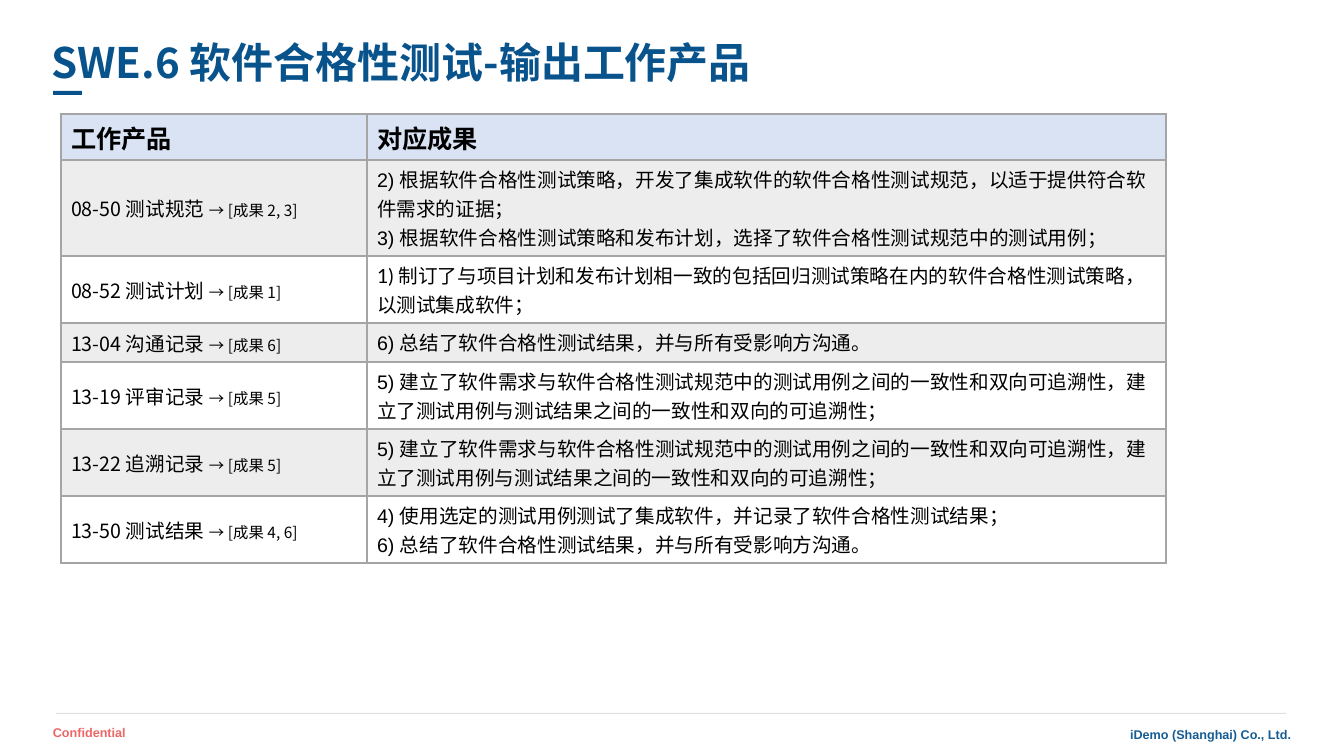
from lxml.etree import SubElement
from pptx import Presentation
from pptx.dml.color import RGBColor
from pptx.enum.shapes import MSO_SHAPE as Shape
from pptx.enum.text import MSO_ANCHOR as Anchor, MSO_AUTO_SIZE as AutoSize, PP_ALIGN as Align
from pptx.oxml.ns import qn
from pptx.util import Emu, Pt

THEME = {
    "cjk": "Noto Sans CJK SC", "latin": "Arial", "number": "Lato", "body": "Calibri",
    "title": "08538C", "company": "175D93", "confidential": "EE6767", "rule": "DDE1E5",
    "text": "000000", "header": "DAE3F3", "grid": "A5A5A5", "band_alpha": 20,
    "title_pt": 30, "header_pt": 18, "cell_pt": 14, "ref_pt": 11, "footer_pt": 9,
}
EMU_PER_PX = 914400 / 100.8


def px(*lengths):
    return [Emu(round(n * EMU_PER_PX)) for n in lengths]


def style(run, font, size, color, bold=False):
    run.font.name, run.font.size, run.font.bold = font, Pt(size), bold
    run.font.color.rgb = RGBColor.from_string(color)
    # East Asian glyphs always use the CJK family
    latin = run.font._element.find(qn("a:latin"))
    east_asian = latin.makeelement(qn("a:ea"), {"typeface": THEME["cjk"]})
    latin.addnext(east_asian)


deck = Presentation()
deck.slide_width, deck.slide_height = px(1344, 756)
slide = deck.slides.add_slide(deck.slide_layouts[5])

# Footer rule and title accent
for box, color in [((56, 713, 1230, 1), THEME["rule"]), ((53, 91, 29, 4), THEME["title"])]:
    bar = slide.shapes.add_shape(Shape.RECTANGLE, *px(*box))
    bar.shadow.inherit = False
    bar.fill.solid()
    bar.fill.fore_color.rgb = RGBColor.from_string(color)
    bar.line.fill.background()

# Footer texts
for box, words, align, color in [
    ((43, 720, 280, 25), "Confidential", Align.LEFT, THEME["confidential"]),
    ((717, 722, 584, 25), "iDemo (Shanghai) Co., Ltd.", Align.RIGHT, THEME["company"]),
]:
    footer = slide.shapes.add_textbox(*px(*box)).text_frame
    footer.word_wrap = True
    footer.auto_size = AutoSize.SHAPE_TO_FIT_TEXT
    footer.text = words
    footer.paragraphs[0].alignment = align
    style(footer.paragraphs[0].runs[0], THEME["latin"], THEME["footer_pt"], color, True)

# Title
title = slide.shapes.title
title.left, title.top, title.width, title.height = px(41, 32, 1159, 65)
heading = title.text_frame
heading.text = "SWE.6 软件合格性测试-输出工作产品"
heading.word_wrap = True
heading.auto_size = AutoSize.NONE
heading.vertical_anchor = Anchor.MIDDLE
heading.paragraphs[0].alignment = Align.LEFT
heading.paragraphs[0].line_spacing = 0.9
style(heading.paragraphs[0].runs[0], THEME["cjk"], THEME["title_pt"], THEME["title"], True)

# Work products: name, outcome numbers, outcomes, row height
traceability = ("5) 建立了软件需求与软件合格性测试规范中的测试用例之间的一致性和双向可追溯性，"
                "建立了测试用例与测试结果之间的一致性和双向的可追溯性；")
communication = "6) 总结了软件合格性测试结果，并与所有受影响方沟通。"
products = [
    ("08-50 测试规范", "2, 3",
     ["2) 根据软件合格性测试策略，开发了集成软件的软件合格性测试规范，以适于提供符合软件需求的证据；",
      "3) 根据软件合格性测试策略和发布计划，选择了软件合格性测试规范中的测试用例；"], 96),
    ("08-52 测试计划", "1",
     ["1) 制订了与项目计划和发布计划相一致的包括回归测试策略在内的软件合格性测试策略，以测试集成软件；"], 67),
    ("13-04 沟通记录", "6", [communication], 39),
    ("13-19 评审记录", "5", [traceability], 67),
    ("13-22 追溯记录", "5", [traceability], 67),
    ("13-50 测试结果", "4, 6",
     ["4) 使用选定的测试用例测试了集成软件，并记录了软件合格性测试结果；", communication], 67),
]
heights = [46] + [product[3] for product in products]
table = slide.shapes.add_table(len(heights), 2, *px(61, 114, 1105, sum(heights))).table
table.horz_banding = False
for column, width in zip(table.columns, px(306, 799)):
    column.width = width
for row, height in zip(table.rows, px(*heights)):
    row.height = height

# Header texts
for cell, words in zip(table.rows[0].cells, ["工作产品", "对应成果"]):
    cell.text_frame.text = words
    style(cell.text_frame.paragraphs[0].runs[0], THEME["cjk"], THEME["header_pt"], THEME["text"], True)

# Body texts
for row_number, (name, numbers, outcomes, _) in enumerate(products, start=1):
    product_cell, outcome_cell = table.rows[row_number].cells
    product_cell.vertical_anchor = Anchor.MIDDLE
    product_line = product_cell.text_frame.paragraphs[0]
    for words, size in [(name + " ", THEME["cell_pt"]), (f"→ [成果 {numbers}]", THEME["ref_pt"])]:
        run = product_line.add_run()
        run.text = words
        style(run, THEME["cjk"], size, THEME["text"])
    outcome_cell.text_frame.text = "\n".join(outcomes)
    for outcome in outcome_cell.text_frame.paragraphs:
        style(outcome.runs[0], THEME["latin"], THEME["cell_pt"], THEME["text"])

# The test plan outcome sets its number in a font of its own
plan_outcome = table.cell(2, 1).text_frame.paragraphs[0]
number, rest = plan_outcome.text.split(" ", 1)
plan_outcome.clear()
for words, font in [(number + " ", THEME["number"]), (rest, THEME["body"])]:
    run = plan_outcome.add_run()
    run.text = words
    style(run, font, THEME["cell_pt"], THEME["text"])

# Borders and banded fills
for row_number, row in enumerate(table.rows):
    for cell in row.cells:
        properties = cell._tc.get_or_add_tcPr()
        for side in ("lnL", "lnR", "lnT", "lnB"):
            heavy = (row_number, side) in [(0, "lnB"), (1, "lnT")]
            border = SubElement(properties, qn(f"a:{side}"), w=str(Pt(2 if heavy else 1)))
            SubElement(SubElement(border, qn("a:solidFill")), qn("a:srgbClr"), val=THEME["grid"])
        if row_number and row_number % 2 == 0:
            cell.fill.background()
            continue
        cell.fill.solid()
        cell.fill.fore_color.rgb = RGBColor.from_string(THEME["grid" if row_number else "header"])
        if row_number:
            band = properties.find(qn("a:solidFill")).find(qn("a:srgbClr"))
            SubElement(band, qn("a:alpha"), val=str(THEME["band_alpha"] * 1000))

deck.save("out.pptx")
